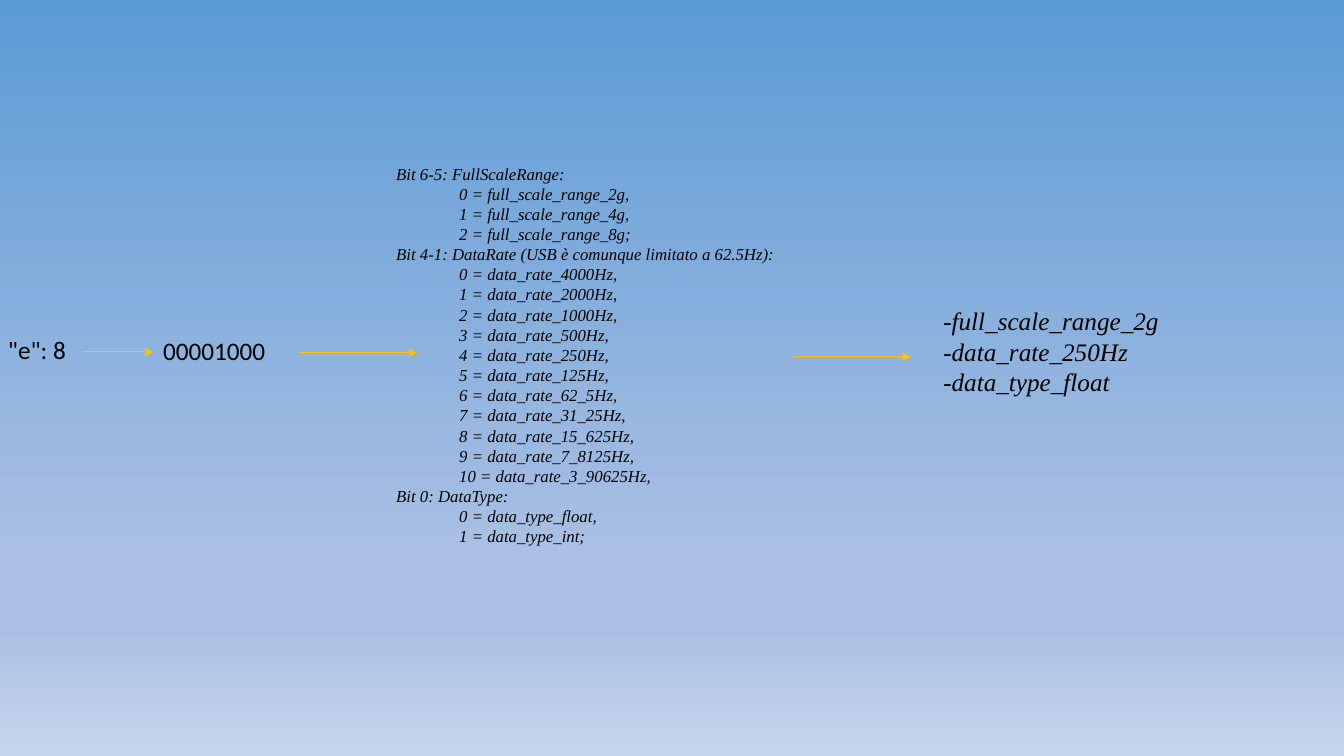
"""Build the slide that decodes the configuration byte "e": 8."""
from lxml.etree import SubElement
from pptx import Presentation
from pptx.dml.color import RGBColor
from pptx.enum.shapes import MSO_CONNECTOR
from pptx.enum.text import MSO_ANCHOR, MSO_AUTO_SIZE, PP_ALIGN
from pptx.oxml.ns import qn
from pptx.util import Pt

SERIF, SANS = "Times New Roman", "Calibri"
BLACK, GOLD = "000000", "FFC000"
STOPS = [(0, "5B9BD5"), (74, "ABC0E4"), (83, "ABC0E4"), (100, "C7D5ED")]
RATES = ["4000", "2000", "1000", "500", "250", "125", "62_5", "31_25",
         "15_625", "7_8125", "3_90625"]
FIELDS = [
    ("Bit 6-5: FullScaleRange:",
     [f"full_scale_range_{size}g" for size in (2, 4, 8)], ";"),
    ("Bit 4-1: DataRate (USB è comunque limitato a 62.5Hz):",
     [f"data_rate_{rate}Hz" for rate in RATES], ","),
    ("Bit 0: DataType:", ["data_type_float", "data_type_int"], ";"),
]
RESULT = ["-full_scale_range_2g", "-data_rate_250Hz", "-data_type_float"]
LABELS = [
    (['"e": 8'], (-1.4, 235.4, 78.5, 29), SANS, None),
    (["00001000"], (109.4, 236.2, 111, 29), SANS, None),
    (RESULT, (666.7, 214.6, 192.2, 72.7), SERIF, 21.7),
]
ARROWS = [(567.4, 650.9, 254.9), (213.8, 298.1, 252), (58.3, 109.4, 251.3)]
BITS_BOX = (275.8, 113, 307.4, 283.7)
INDENT = 45


def color(code):
    return RGBColor.from_string(code)


def place(shape, box):
    shape.left, shape.top, shape.width, shape.height = map(Pt, box)


def write(shape, lines, font, size, pitch):
    frame = shape.text_frame
    frame.text = "\n".join(lines)
    frame.word_wrap = True
    frame.auto_size = MSO_AUTO_SIZE.NONE
    frame.vertical_anchor = MSO_ANCHOR.TOP
    for par in frame.paragraphs:
        par.space_before = Pt(0)
        if pitch:
            par.line_spacing = Pt(pitch)
        for run in par.runs:
            run.font.name, run.font.size = font, Pt(size)
            run.font.italic = font == SERIF
            run.font.color.rgb = color(BLACK)


def paint(slide):
    fill = slide.background.fill
    fill.gradient()
    fill.gradient_angle = 270
    stops = slide.element.find(".//" + qn("a:gsLst"))
    stops.clear()
    for pos, code in STOPS:
        stop = SubElement(stops, qn("a:gs"), pos=str(pos * 1000))
        SubElement(stop, qn("a:srgbClr"), val=code)


def list_bits(shape):
    rows = []
    for head, names, end in FIELDS:
        rows.append((head, 0))
        for code, name in enumerate(names):
            mark = end if code == len(names) - 1 else ","
            rows.append((f"{code} = {name}{mark}", INDENT))
    place(shape, BITS_BOX)
    write(shape, [text for text, left in rows], SERIF, 12, 14.4)
    for par, (text, left) in zip(shape.text_frame.paragraphs, rows):
        par.alignment = PP_ALIGN.JUSTIFY
        props = par._p.get_or_add_pPr()
        props.set("marL", str(Pt(left)))
        props.set("indent", "0")
        SubElement(props, qn("a:buNone"))


def add_arrow(slide, start, end, top):
    arrow = slide.shapes.add_connector(
        MSO_CONNECTOR.STRAIGHT, Pt(start), Pt(top), Pt(end), Pt(top))
    arrow.line.color.rgb = color(GOLD)
    arrow.line.width = Pt(0.5)
    SubElement(arrow.line._get_or_add_ln(), qn("a:tailEnd"), type="triangle")
    SubElement(arrow._element.spPr, qn("a:effectLst"))


def main():
    deck = Presentation()
    deck.slide_width, deck.slide_height = Pt(960), Pt(540)
    slide = deck.slides.add_slide(deck.slide_layouts[1])
    title = slide.shapes.title.element
    title.getparent().remove(title)
    paint(slide)
    list_bits(slide.placeholders[1])
    for lines, box, font, pitch in LABELS:
        label = slide.shapes.add_textbox(*map(Pt, box))
        write(label, lines, font, 18, pitch)
    for arrow in ARROWS:
        add_arrow(slide, *arrow)
    deck.save("out.pptx")


if __name__ == "__main__":
    main()
